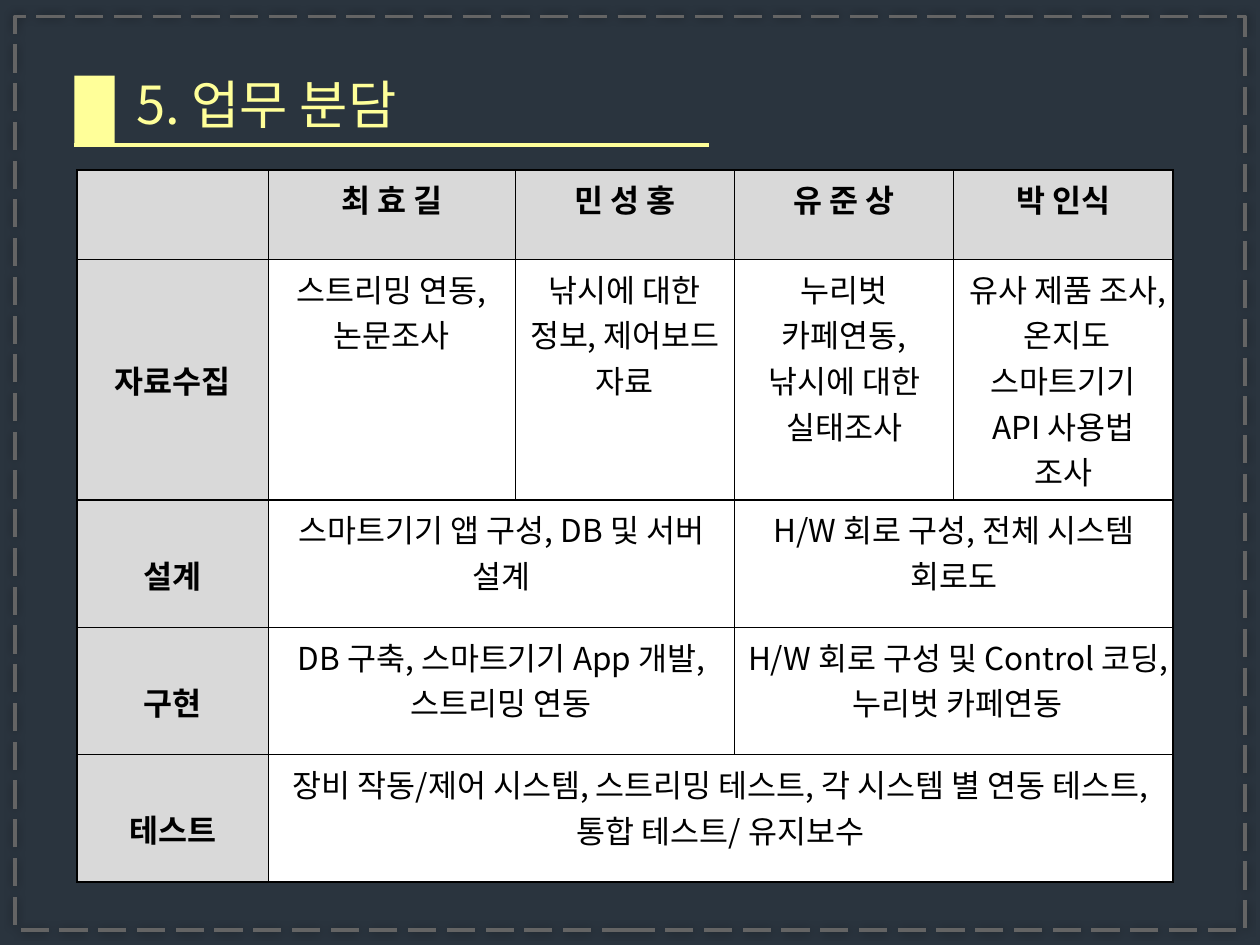
from lxml.etree import SubElement
from pptx import Presentation
from pptx.dml.color import RGBColor
from pptx.enum.dml import MSO_LINE
from pptx.enum.shapes import MSO_CONNECTOR, MSO_SHAPE
from pptx.enum.text import MSO_ANCHOR, PP_ALIGN
from pptx.oxml import parse_xml
from pptx.oxml.ns import nsdecls, qn
from pptx.util import Inches, Pt

NAVY = RGBColor(0x2A, 0x34, 0x3E)
YELLOW = RGBColor(0xFF, 0xFF, 0x99)
FRAME_GRAY = RGBColor(0x64, 0x64, 0x64)
HEADER_GRAY = RGBColor(0xD9, 0xD9, 0xD9)
WHITE = RGBColor(0xFF, 0xFF, 0xFF)
BLACK = RGBColor(0, 0, 0)
FONT = "Noto Sans CJK KR"
LINE_HEIGHT = 0.36


def write(text_frame, text, size=18, color=BLACK, bold=False, align=PP_ALIGN.CENTER):
    para = text_frame.paragraphs[0]
    para.alignment = align
    span = para.add_run()
    span.text = text
    span.font.size = Pt(size)
    span.font.bold = bold
    span.font.name = FONT
    span.font.color.rgb = color
    SubElement(span.font._element, qn("a:ea"), typeface=FONT)


def add_borders(cell):
    properties = cell._tc.get_or_add_tcPr()
    for index, side in enumerate("LRTB"):
        properties.insert(index, parse_xml(
            f'<a:ln{side} w="12700" {nsdecls("a")}><a:solidFill>'
            f'<a:srgbClr val="{BLACK}"/></a:solidFill></a:ln{side}>'))


deck = Presentation()
deck.slide_width = Inches(10)
deck.slide_height = Inches(7.5)
page = deck.slides.add_slide(deck.slide_layouts[5])
page.background.fill.solid()
page.background.fill.fore_color.rgb = NAVY

title = page.shapes.title
title.left, title.top = Inches(0.98), Inches(0.52)
title.width, title.height = Inches(3.62), Inches(0.61)
title.text_frame.vertical_anchor = MSO_ANCHOR.TOP
write(title.text_frame, "5. 업무 분담", size=30, color=YELLOW, align=PP_ALIGN.LEFT)

underline = page.shapes.add_connector(
    MSO_CONNECTOR.STRAIGHT, Inches(0.59), Inches(1.15), Inches(5.63), Inches(1.15))
underline.line.color.rgb = YELLOW
underline.line.width = Pt(2)
SubElement(underline._element.spPr, qn("a:effectLst"))

marker = page.shapes.add_shape(
    MSO_SHAPE.RECTANGLE, Inches(0.59), Inches(0.6), Inches(0.32), Inches(0.55))
marker.shadow.inherit = False
marker.fill.solid()
marker.fill.fore_color.rgb = YELLOW
marker.line.fill.background()

border = page.shapes.add_shape(
    MSO_SHAPE.RECTANGLE, Inches(0.12), Inches(0.13), Inches(9.76), Inches(7.25))
border.fill.background()
border.line.color.rgb = FRAME_GRAY
border.line.width = Pt(2)
border.line.dash_style = MSO_LINE.LONG_DASH
border.shadow.inherit = False
effects = border._element.spPr.find(qn("a:effectLst"))
glow = SubElement(effects, qn("a:outerShdw"), blurRad=str(Pt(5)), dist="0", dir="0")
glow_color = SubElement(glow, qn("a:srgbClr"), val=str(BLACK))
SubElement(glow_color, qn("a:alpha"), val="40000")

column_widths = [1.52, 1.96, 1.74, 1.74, 1.74]
row_heights = [0.71, 1.61, 1.01, 1.01, 1.01]
rows = [
    ["", "최 효 길", "민 성 홍", "유 준 상", "박 인식"],
    ["자료수집", "스트리밍 연동, 논문조사", "낚시에 대한 정보, 제어보드 자료",
     "누리벗 카페연동, 낚시에 대한 실태조사", "유사 제품 조사, 온지도 스마트기기 API 사용법 조사"],
    ["설계", "스마트기기 앱 구성, DB 및 서버 설계", "H/W 회로 구성, 전체 시스템 회로도"],
    ["구현", "DB 구축, 스마트기기 App 개발, 스트리밍 연동",
     "H/W 회로 구성 및 Control 코딩, 누리벗 카페연동"],
    ["테스트", "장비 작동/제어 시스템, 스트리밍 테스트, 각 시스템 별 연동 테스트, 통합 테스트/ 유지보수"],
]
label_offsets = [0, 2, 1, 1, 1]

table = page.shapes.add_table(
    len(rows), len(column_widths), Inches(0.61), Inches(1.35), Inches(8.7), Inches(5.34)).table
table.first_row = False
table.horz_banding = False
for column, width in zip(table.columns, column_widths):
    column.width = Inches(width)
for row, height in zip(table.rows, row_heights):
    row.height = Inches(height)

for row_index, texts in enumerate(rows):
    for column_index in range(len(column_widths)):
        cell = table.cell(row_index, column_index)
        is_header = row_index == 0 or column_index == 0
        cell.fill.solid()
        cell.fill.fore_color.rgb = HEADER_GRAY if is_header else WHITE
        add_borders(cell)
    span_width = 4 // (len(texts) - 1)
    for text_index, text in enumerate(texts):
        column_index = 0 if text_index == 0 else 1 + (text_index - 1) * span_width
        cell = table.cell(row_index, column_index)
        if column_index and span_width > 1:
            cell.merge(table.cell(row_index, column_index + span_width - 1))
        if column_index == 0:
            cell.margin_top = Inches(0.05 + LINE_HEIGHT * label_offsets[row_index])
        if text:
            write(cell.text_frame, text, bold=row_index == 0 or column_index == 0)

deck.save("out.pptx")
